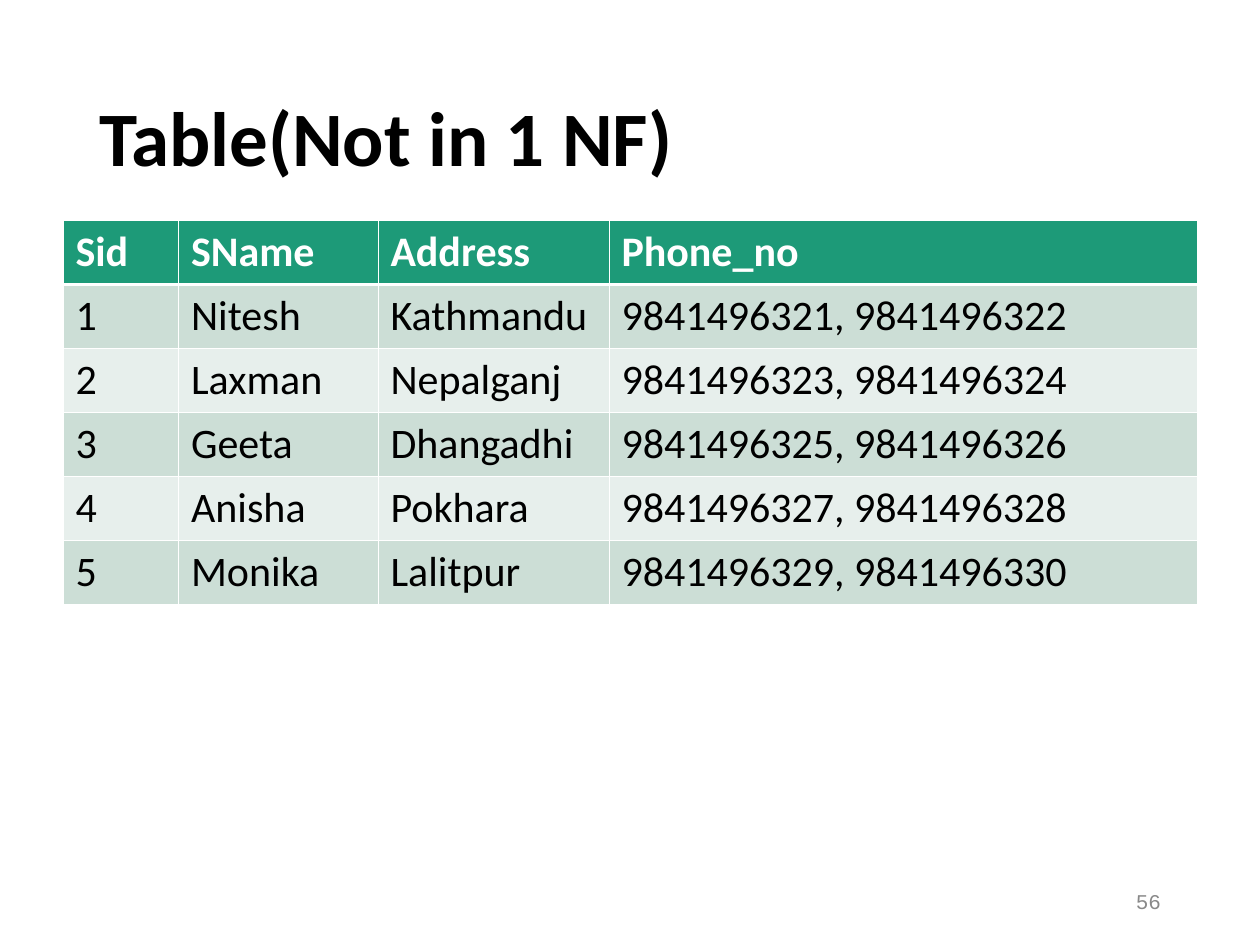
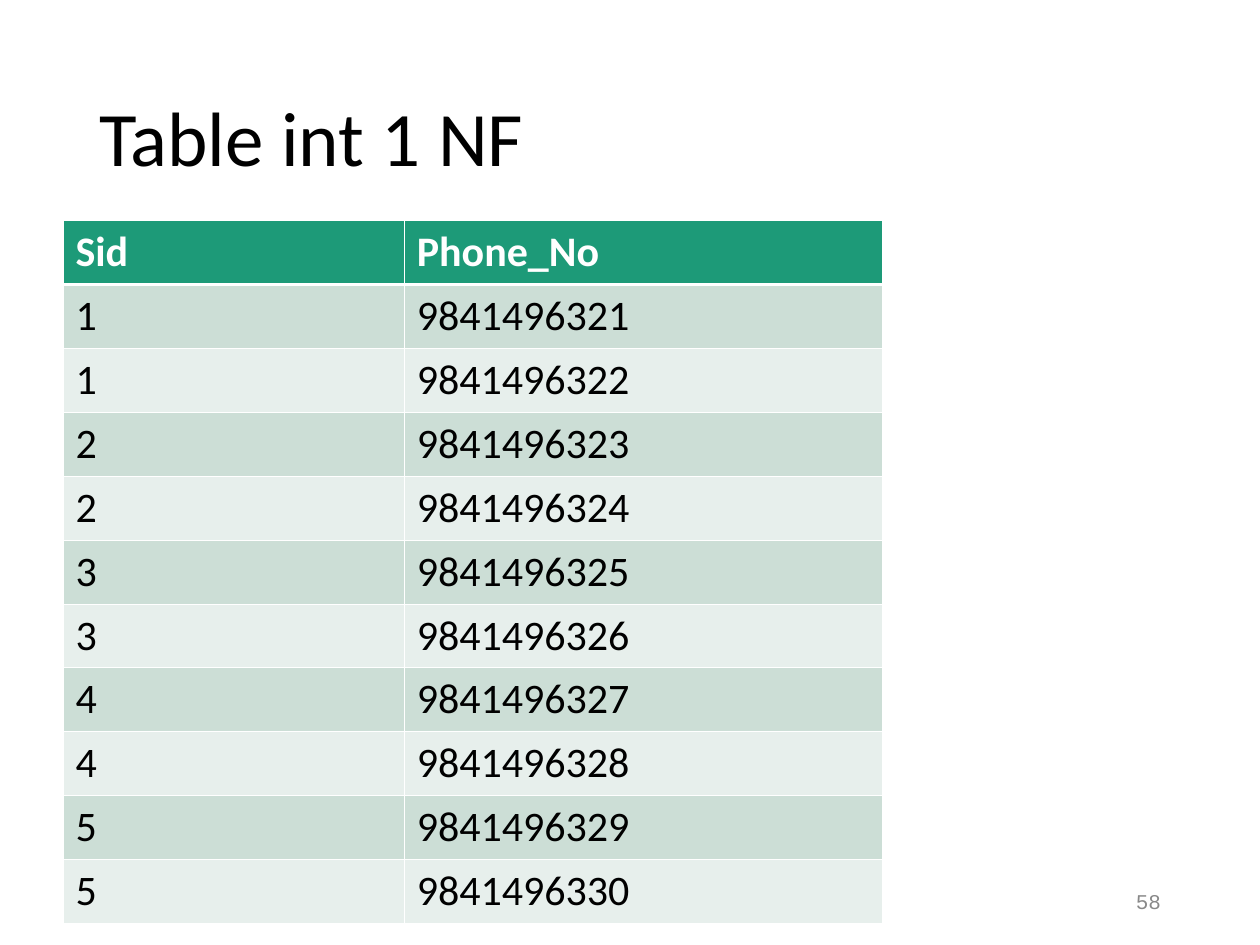
from lxml import etree
from pptx import Presentation
from pptx.dml.color import RGBColor
from pptx.enum import text
from pptx.oxml import ns
from pptx.util import Pt

COLORS = {"ink": "000000", "white": "FFFFFF", "header": "1D9A78",
          "band_dark": "CCDED6", "band_light": "E7EFEC", "number": "898989"}
BODY_FONT, NUMBER_FONT = "Calibri", "Courier New"
TITLE_BOX = (49.5, 28.8, 621.5, 104.4)
NUMBER_BOX = (508.5, 500.4, 162, 28.8)
TABLE_ORIGIN = (36, 126)
ROW_HEIGHT = 36
THIN, THICK = 0.45, 1.47

STUDENTS = [("Nitesh", "Kathmandu"), ("Laxman", "Nepalganj"), ("Geeta", "Dhangadhi"),
            ("Anisha", "Pokhara"), ("Monika", "Lalitpur")]
FIRST_PHONE = 9841496321
PHONES = [(str(FIRST_PHONE + 2 * i), str(FIRST_PHONE + 2 * i + 1))
          for i in range(len(STUDENTS))]


def rgb(name):
    """Return the named colour."""
    return RGBColor.from_string(COLORS[name])


def write(p, words, size, color, font=BODY_FONT, bold=False):
    """Add one formatted run to a paragraph."""
    r = p.add_run()
    r.text = words
    r.font.size, r.font.name, r.font.bold = Pt(size), font, bold
    r.font.color.rgb = rgb(color)


def add_title(s, box, words, bold):
    """Place the title placeholder in the box."""
    sp = s.shapes.title
    sp.left, sp.top, sp.width, sp.height = map(Pt, box)
    tf = sp.text_frame
    tf.auto_size = text.MSO_AUTO_SIZE.NONE
    tf.vertical_anchor = text.MSO_ANCHOR.MIDDLE
    p = tf.paragraphs[0]
    p.alignment, p.line_spacing = text.PP_ALIGN.LEFT, 0.9
    write(p, words, 44, "ink", bold=bold)


def add_number(s, box, number):
    """Place the slide number in the box."""
    tf = s.shapes.add_textbox(*map(Pt, box)).text_frame
    tf.word_wrap = True
    tf.vertical_anchor = text.MSO_ANCHOR.MIDDLE
    p = tf.paragraphs[0]
    p.alignment = text.PP_ALIGN.RIGHT
    write(p, str(number), 12, "number", NUMBER_FONT)


def add_borders(cell, top, bottom):
    """Draw white borders around a cell."""
    tc_pr = cell._tc.get_or_add_tcPr()
    for side, width in (("L", THIN), ("R", THIN), ("T", top), ("B", bottom)):
        ln = etree.SubElement(tc_pr, ns.qn(f"a:ln{side}"), w=str(int(Pt(width))))
        fill = etree.SubElement(ln, ns.qn("a:solidFill"))
        etree.SubElement(fill, ns.qn("a:srgbClr"), val=COLORS["white"])


def add_banded_table(s, origin, widths, rows):
    """Place a table with a header row and banded body rows at the origin."""
    box = (*origin, sum(widths), ROW_HEIGHT * len(rows))
    table = s.shapes.add_table(len(rows), len(widths), *map(Pt, box)).table
    for column, width in zip(table.columns, widths):
        column.width = Pt(width)
    for i, row in enumerate(rows):
        table.rows[i].height = Pt(ROW_HEIGHT)
        header = i == 0
        fill = "header" if header else "band_dark" if i % 2 else "band_light"
        for j, words in enumerate(row):
            cell = table.cell(i, j)
            add_borders(cell, THICK if i == 1 else THIN, THICK if header else THIN)
            cell.fill.solid()
            cell.fill.fore_color.rgb = rgb(fill)
            write(cell.text_frame.paragraphs[0], words, 24,
                  "white" if header else "ink", bold=header)


def add_table_slide(prs, title, bold, number, widths, rows):
    """Add a slide with a title, a table and a number."""
    s = prs.slides.add_slide(prs.slide_layouts[5])
    add_title(s, TITLE_BOX, title, bold)
    add_banded_table(s, TABLE_ORIGIN, widths, rows)
    add_number(s, NUMBER_BOX, number)


def main():
    """Build both slides and save them."""
    prs = Presentation()
    prs.slide_width, prs.slide_height = Pt(720), Pt(540)
    students = [(str(sid), *student, ", ".join(phones))
                for sid, (student, phones) in enumerate(zip(STUDENTS, PHONES), 1)]
    phone_rows = [(str(sid), phone)
                  for sid, phones in enumerate(PHONES, 1) for phone in phones]
    add_table_slide(prs, "Table(Not in 1 NF)", True, 56, (66, 114, 132, 336),
                    [("Sid", "SName", "Address", "Phone_no"), *students])
    add_table_slide(prs, "Table int 1 NF", False, 58, (195, 273),
                    [("Sid", "Phone_No"), *phone_rows])
    prs.save("out.pptx")


if __name__ == "__main__":
    main()
